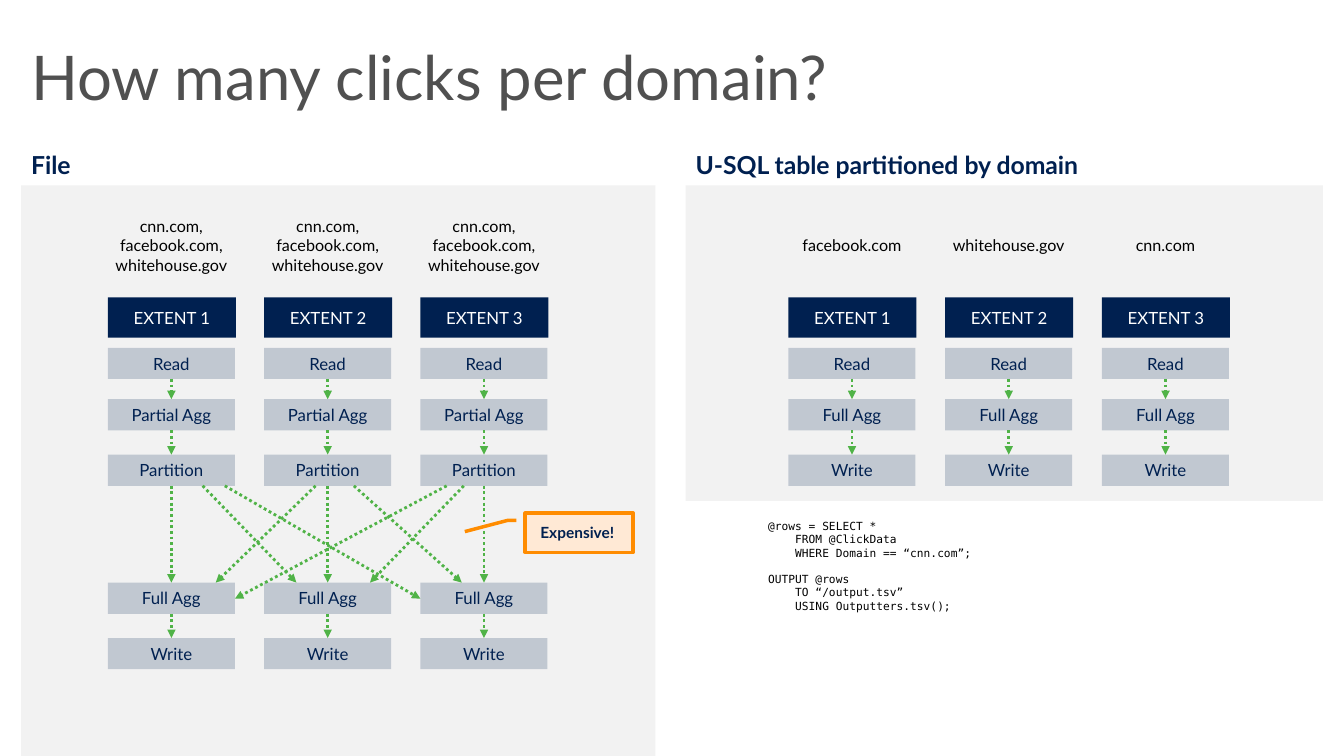
from lxml import etree
from pptx import Presentation, util as u
from pptx.dml.color import RGBColor
from pptx.enum import dml, shapes, text
from pptx.oxml.ns import qn

TITLE = "How many clicks per domain?"
MIXED = ["cnn.com,", "facebook.com,", "whitehouse.gov"]
PANELS = [
    dict(head="File", at=(0.21, 1.84, 6.29, 5.66), head_w=2.92,
         left=1.07, pitch=1.55, domains=[MIXED] * 3,
         steps=[("Read", 3.45), ("Partial Agg", 3.96), ("Partition", 4.51),
                ("Full Agg", 5.78), ("Write", 6.33)]),
    dict(head="U-SQL table partitioned by domain", at=(6.8, 1.84, 6.32, 3.13),
         head_w=5.19, left=7.82, pitch=1.555,
         domains=[["facebook.com"], ["whitehouse.gov"], ["cnn.com"]],
         steps=[("Read", 3.45), ("Full Agg", 3.96), ("Write", 4.51)]),
]
SHUFFLE = [(3.13, 2.14, 5.78), (3.51, 4.58, 5.78), (2.01, 2.94, 5.78),
           (4.6, 3.67, 5.78), (4.43, 2.33, 5.94), (2.23, 4.17, 5.94)]
CODE = [
    ["@rows = SELECT *",
     "    FROM @ClickData",
     "    WHERE Domain == “cnn.com”;"],
    ["OUTPUT @rows",
     "    TO “/output.tsv”",
     "    USING Outputters.tsv();"],
]
COLORS = dict(title="505050", navy="002050", panel="F2F2F2", arrow="50B347",
              white="FFFFFF", black="000000", note="FFE9D5", orange="FF8C00")
BOX_W, BOX_H = 1.26, 0.31
LEADER = [0.188, -0.083, 0.188, -0.167, 0.471, -0.56]

prs = Presentation()
prs.slide_width, prs.slide_height = u.Inches(13.33), u.Inches(7.5)
s = prs.slides.add_slide(prs.slide_layouts[5])


def rgb(name):
    return RGBColor.from_string(COLORS[name])


def write(sp, lines, size=12, color="navy", bold=False, font="Lato", align="LEFT",
          anchor="MIDDLE", inset=(0.1, 0.05, 0.1, 0.05), spacing=None, before=None):
    tf = sp.text_frame
    tf.word_wrap = True
    tf.vertical_anchor = text.MSO_ANCHOR[anchor]
    tf.margin_left, tf.margin_top, tf.margin_right, tf.margin_bottom = map(u.Inches, inset)
    for i, line in enumerate(lines):
        p = tf.paragraphs[0] if i == 0 else tf.add_paragraph()
        p.alignment = text.PP_ALIGN[align]
        if spacing:
            p.line_spacing = spacing
        if before and i in before:
            p.space_before = u.Pt(before[i])
        r = p.add_run()
        r.text = line
        r.font.size, r.font.bold, r.font.name = u.Pt(size), bold, font
        r.font.color.rgb = rgb(color)


def label(at, lines, **fmt):
    write(s.shapes.add_textbox(*map(u.Inches, at)), lines, **fmt)


def box(at, fill, line=None, alpha=None, kind="RECTANGLE"):
    sp = s.shapes.add_shape(shapes.MSO_SHAPE[kind], *map(u.Inches, at))
    sp.shadow.inherit = False
    sp.fill.solid()
    sp.fill.fore_color.rgb = rgb(fill)
    if alpha:
        clr = sp._element.spPr.find(qn("a:solidFill")).find(qn("a:srgbClr"))
        etree.SubElement(clr, qn("a:alpha")).set("val", str(alpha * 1000))
    if line:
        sp.line.color.rgb, sp.line.width = rgb(line), u.Pt(2.5)
    else:
        sp.line.fill.background()
    return sp


def arrow(x1, y1, x2, y2):
    c = s.shapes.add_connector(shapes.MSO_CONNECTOR.STRAIGHT,
                               *map(u.Inches, (x1, y1, x2, y2)))
    c.line.color.rgb, c.line.width = rgb("arrow"), u.Pt(2)
    c.line.dash_style = dml.MSO_LINE.ROUND_DOT
    etree.SubElement(c.line._get_or_add_ln(), qn("a:tailEnd")).set("type", "triangle")
    etree.SubElement(c._element.spPr, qn("a:effectLst"))


title = s.shapes.title
title.left, title.top, title.width, title.height = map(u.Inches, (0.21, 0.33, 12.92, 0.94))
write(title, [TITLE], size=44, color="title", spacing=0.9)

for panel in PANELS:
    box(panel["at"], "panel")
    label((panel["at"][0], 1.52, panel["head_w"], 0.27), [panel["head"]], size=17.7,
          bold=True, anchor="TOP", inset=(0.1, 0, 0.1, 0), spacing=0.9)
    steps = panel["steps"]
    for col, domains in enumerate(panel["domains"]):
        x = panel["left"] + col * panel["pitch"]
        mid = x + BOX_W / 2
        label((x, 1.97, BOX_W, 0.93), domains, size=11.5, color="black",
              align="CENTER", inset=(0, 0.05, 0, 0.05))
        write(box((x, 2.95, 1.27, 0.4), "navy"), [f"EXTENT {col + 1}"],
              color="white", align="CENTER")
        for name, y in steps:
            write(box((x, y, BOX_W, BOX_H), "navy", alpha=20), [name], align="CENTER")
        for (_, y1), (_, y2) in zip(steps, steps[1:]):
            arrow(mid, y1 + BOX_H, mid, y2)

for x1, x2, y2 in SHUFFLE:
    arrow(x1, 4.82, x2, y2)

note = box((5.21, 5.09, 1.07, 0.39), "note", line="orange", kind="LINE_CALLOUT_2")
for i, value in enumerate(LEADER):
    note.adjustments[i] = value
write(note, ["Expensive!"], size=11, bold=True, inset=(0.15, 0.1, 0.1, 0.1))

label((7.52, 5.1, 2.48, 1.04), CODE[0] + CODE[1], size=8, color="black",
      font="DejaVu Sans Mono", anchor="TOP", before={len(CODE[0]): 9.3})

prs.save("out.pptx")
